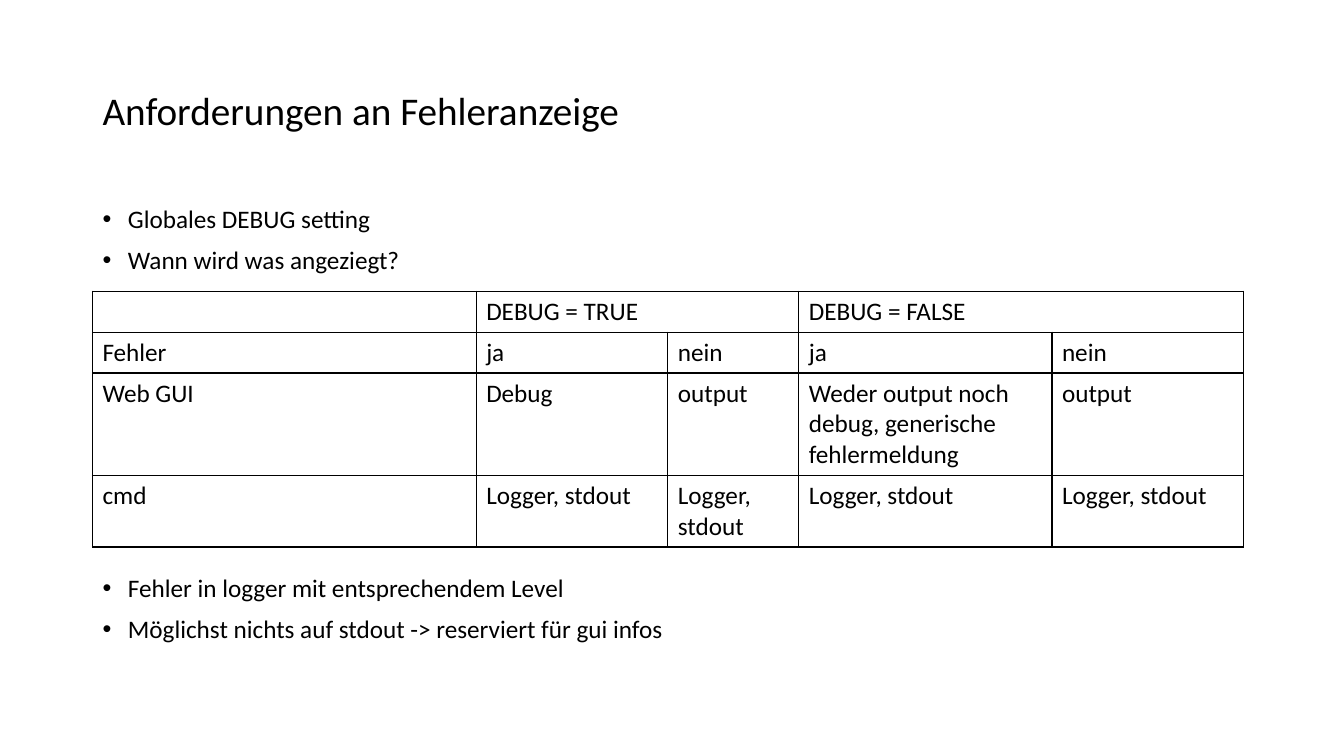
from dataclasses import dataclass

from lxml.etree import SubElement
from pptx import Presentation
from pptx.dml.color import RGBColor
from pptx.enum.text import MSO_ANCHOR, MSO_AUTO_SIZE, PP_ALIGN
from pptx.oxml.ns import qn
from pptx.util import Cm, Pt


@dataclass(frozen=True)
class Theme:
    font: str = "Calibri"
    ink: RGBColor = RGBColor(0x00, 0x00, 0x00)
    paper: RGBColor = RGBColor(0xFF, 0xFF, 0xFF)
    title: Pt = Pt(28)
    text: Pt = Pt(18)
    rule: Pt = Pt(1)


theme = Theme()


def write(para, text, size=theme.text, line=None, before=None, indent=None):
    """Fill a paragraph; indent is the hanging indent of its bullet."""
    para.alignment = PP_ALIGN.LEFT
    para.line_spacing = line
    para.space_before = before
    if indent is not None:
        props = para._p.get_or_add_pPr()
        props.set("marL", str(indent))
        props.set("indent", str(-indent))
    span = para.add_run()
    span.text = text
    span.font.name = theme.font
    span.font.size = size
    span.font.color.rgb = theme.ink


def add_borders(cell):
    props = cell._tc.get_or_add_tcPr()
    for side in ("a:lnL", "a:lnR", "a:lnT", "a:lnB"):
        border = SubElement(props, qn(side), w=str(theme.rule))
        fill = SubElement(border, qn("a:solidFill"))
        SubElement(fill, qn("a:srgbClr"), val=str(theme.ink))


deck = Presentation()
deck.slide_width, deck.slide_height = Cm(33.87), Cm(19.05)
page = deck.slides.add_slide(deck.slide_layouts[1])
title, body = page.placeholders
left, width = Cm(2.33), Cm(29.21)

# Title and body placeholders
for box, top, height, anchor in (
    (title, Cm(1.01), Cm(3.68), MSO_ANCHOR.MIDDLE),
    (body, Cm(5.07), Cm(12.09), MSO_ANCHOR.TOP),
):
    box.left, box.top, box.width, box.height = left, top, width, height
    box.text_frame.vertical_anchor = anchor
    box.text_frame.auto_size = MSO_AUTO_SIZE.NONE
    box.text_frame.word_wrap = True

write(title.text_frame.paragraphs[0], "Anforderungen an Fehleranzeige",
      size=theme.title, line=0.9, before=Pt(0))

# The third bullet leaves room for the table
bullet_gap, table_gap = Pt(10), Pt(215)
bullets = (
    ("Globales DEBUG setting", bullet_gap),
    ("Wann wird was angeziegt?", bullet_gap),
    ("Fehler in logger mit entsprechendem Level", table_gap),
    ("Möglichst nichts auf stdout -> reserviert für gui infos", bullet_gap),
)
for index, (text, gap) in enumerate(bullets):
    frame = body.text_frame
    para = frame.add_paragraph() if index else frame.paragraphs[0]
    write(para, text, line=0.9, before=gap, indent=Cm(0.64))

# Table of outputs by debug setting
log = "Logger, stdout"
rows = (
    ("", "DEBUG = TRUE", "", "DEBUG = FALSE", ""),
    ("Fehler", "ja", "nein", "ja", "nein"),
    ("Web GUI", "Debug", "output",
     "Weder output noch debug, generische fehlermeldung", "output"),
    ("cmd", log, log, log, log),
)
column_widths = [Cm(size) for size in (9.67, 4.83, 3.3, 6.38, 4.83)]
row_heights = [Cm(size) for size in (1.02, 1.02, 2.58, 1.8)]
table = page.shapes.add_table(
    len(rows), len(column_widths), left, Cm(7.34),
    sum(column_widths), sum(row_heights)).table
table.first_row = table.horz_banding = False
for column, size in zip(table.columns, column_widths):
    column.width = size
for row, size in zip(table.rows, row_heights):
    row.height = size
for first in (1, 3):
    table.cell(0, first).merge(table.cell(0, first + 1))

for row, texts in enumerate(rows):
    for column, text in enumerate(texts):
        cell = table.cell(row, column)
        add_borders(cell)
        cell.fill.solid()
        cell.fill.fore_color.rgb = theme.paper
        if text:
            write(cell.text_frame.paragraphs[0], text)

deck.save("out.pptx")
